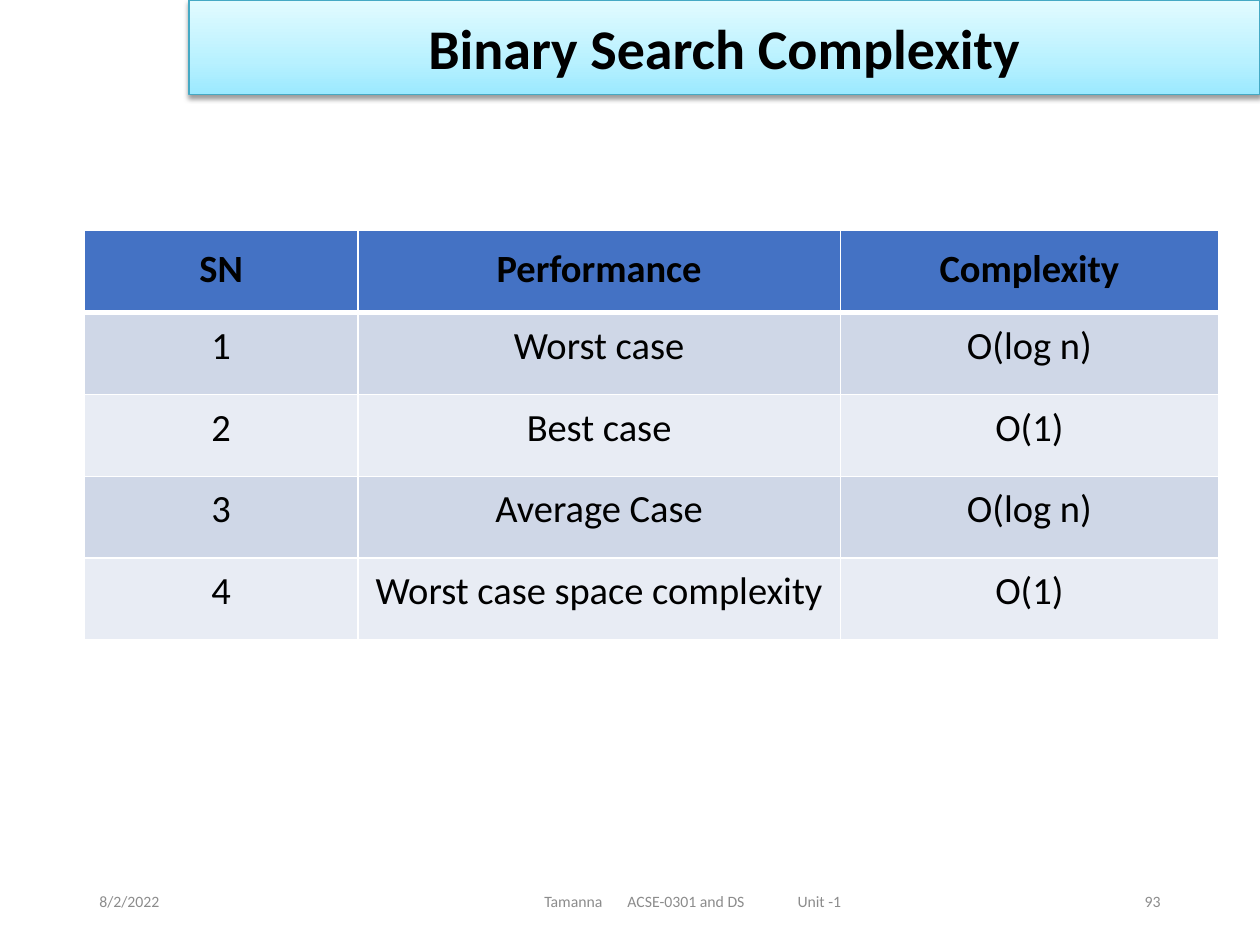
"""Build the binary search complexity slide."""
from dataclasses import dataclass

import pptx
import pptx.dml.color
import pptx.enum.shapes
import pptx.enum.text
import pptx.oxml
import pptx.oxml.ns
import pptx.util
from pptx.util import Inches

ALIGN = pptx.enum.text.PP_ALIGN
MIDDLE = pptx.enum.text.MSO_ANCHOR.MIDDLE


@dataclass(frozen=True)
class Theme:
    """Colours, font and type sizes of the slide."""
    font: str = "Calibri"
    ink: str = "000000"
    muted: str = "8C8C8C"
    header: str = "4472C4"
    bands: tuple = ("CFD7E7", "E8ECF4")
    rule: str = "FFFFFF"
    banner_stops: tuple = ((0, "9BE9FF"), (35, "B8F1FF"), (100, "E2FBFF"))
    banner_line: str = "45A9C4"
    title_size: int = 32
    table_size: int = 22
    footer_size: int = 9


THEME = Theme()
COMPLEXITIES = (
    ("SN", "Performance", "Complexity"),
    ("1", "Worst case", "O(log n)"),
    ("2", "Best case", "O(1)"),
    ("3", "Average Case", "O(log n)"),
    ("4", "Worst case space complexity", "O(1)"),
)


def rgb(code):
    """Return the colour for a hex code."""
    return pptx.dml.color.RGBColor.from_string(code)


def element(xml):
    """Parse a fragment whose root opens in the drawing namespace."""
    tag, rest = xml[1:].split(" ", 1)
    namespace = pptx.oxml.ns.nsdecls("a")
    return pptx.oxml.parse_xml(f"<{tag} {namespace} {rest}")


def apply(target, values):
    """Set each named attribute on the target."""
    for name, value in values.items():
        setattr(target, name, value)


def write(frame, text, size, color=THEME.ink, bold=False, align=ALIGN.CENTER, tabs=()):
    """Write one styled paragraph into a text frame."""
    paragraph = frame.paragraphs[0]
    paragraph.text = text
    paragraph.alignment = align
    if tabs:
        stops = "".join(f'<a:tab pos="{Inches(stop)}" algn="l"/>' for stop in tabs)
        properties = paragraph._p.get_or_add_pPr()
        properties.append(element(f"<a:tabLst >{stops}</a:tabLst>"))
    font = paragraph.runs[0].font
    apply(font, {"name": THEME.font, "size": pptx.util.Pt(size), "bold": bold})
    font.color.rgb = rgb(color)


def add_banner(slide, title):
    """Add the title on its shaded gradient bar."""
    banner = slide.shapes.add_shape(
        pptx.enum.shapes.MSO_SHAPE.RECTANGLE,
        Inches(1.5), Inches(0), Inches(8.5), Inches(0.75))
    banner.fill.gradient()
    banner.fill.gradient_angle = 90
    properties = banner._element.spPr
    stops = properties.find(".//" + pptx.oxml.ns.qn("a:gsLst"))
    stops.clear()
    for position, color in THEME.banner_stops:
        stops.append(element(
            f'<a:gs pos="{position * 1000}"><a:srgbClr val="{color}"/></a:gs>'))
    banner.line.color.rgb = rgb(THEME.banner_line)
    banner.line.width = pptx.util.Pt(0.75)
    banner.shadow.inherit = False
    properties.find(pptx.oxml.ns.qn("a:effectLst")).append(element(
        f'<a:outerShdw blurRad="{pptx.util.Pt(3.1)}" dist="{pptx.util.Pt(1.6)}" '
        f'dir="5400000" rotWithShape="0"><a:srgbClr val="{THEME.ink}">'
        '<a:alpha val="38000"/></a:srgbClr></a:outerShdw>'))
    apply(banner.text_frame, {"word_wrap": True, "vertical_anchor": MIDDLE})
    write(banner.text_frame, title, THEME.title_size, bold=True)


def add_borders(cell, widths):
    """Draw the left, right, top and bottom rules of a cell."""
    properties = cell._tc.get_or_add_tcPr()
    for index, (side, width) in enumerate(zip("LRTB", widths)):
        properties.insert(index, element(
            f'<a:ln{side} w="{pptx.util.Pt(width)}"><a:solidFill>'
            f'<a:srgbClr val="{THEME.rule}"/></a:solidFill></a:ln{side}>'))


def add_complexity_table(slide):
    """Add the table of cases and their complexities."""
    table = slide.shapes.add_table(
        len(COMPLEXITIES), len(COMPLEXITIES[0]),
        Inches(0.67), Inches(1.83), Inches(9), Inches(3.25)).table
    for column, width in zip(table.columns, (2.17, 3.83, 3)):
        column.width = Inches(width)
    for row, entries in enumerate(COMPLEXITIES):
        is_header = row == 0
        shade = THEME.header if is_header else THEME.bands[(row - 1) % 2]
        margin = Inches(0.12 if is_header else 0.08)
        widths = (1, 1, 3 if row == 1 else 1, 3 if is_header else 1)
        for column, entry in enumerate(entries):
            cell = table.cell(row, column)
            apply(cell, {f"margin_{side}": margin
                         for side in ("left", "right", "top", "bottom")})
            cell.fill.solid()
            cell.fill.fore_color.rgb = rgb(shade)
            add_borders(cell, widths)
            write(cell.text_frame, entry, THEME.table_size, bold=is_header)


def add_footer(slide, text, left, width, align, inset=0.1, tabs=()):
    """Add one part of the footer line."""
    footer = slide.shapes.add_textbox(
        Inches(left), Inches(6.95), Inches(width), Inches(0.4)).text_frame
    apply(footer, {"word_wrap": True, "vertical_anchor": MIDDLE,
                   "margin_left": Inches(inset)})
    write(footer, text, THEME.footer_size, THEME.muted, align=align, tabs=tabs)


def main():
    """Build and save the slide."""
    deck = pptx.Presentation()
    apply(deck, {"slide_width": Inches(10), "slide_height": Inches(7.5)})
    slide = deck.slides.add_slide(deck.slide_layouts[6])
    add_complexity_table(slide)
    add_footer(slide, "8/2/2022", 0.69, 2.25, ALIGN.LEFT)
    add_footer(slide, "Tamanna\tACSE-0301 and DS\tUnit -1", 2.75, 5.5,
               ALIGN.LEFT, inset=1.57, tabs=(0.66, 2.01))
    add_footer(slide, "93", 7.06, 2.25, ALIGN.RIGHT)
    add_banner(slide, "Binary Search Complexity")
    deck.save("out.pptx")


if __name__ == "__main__":
    main()
